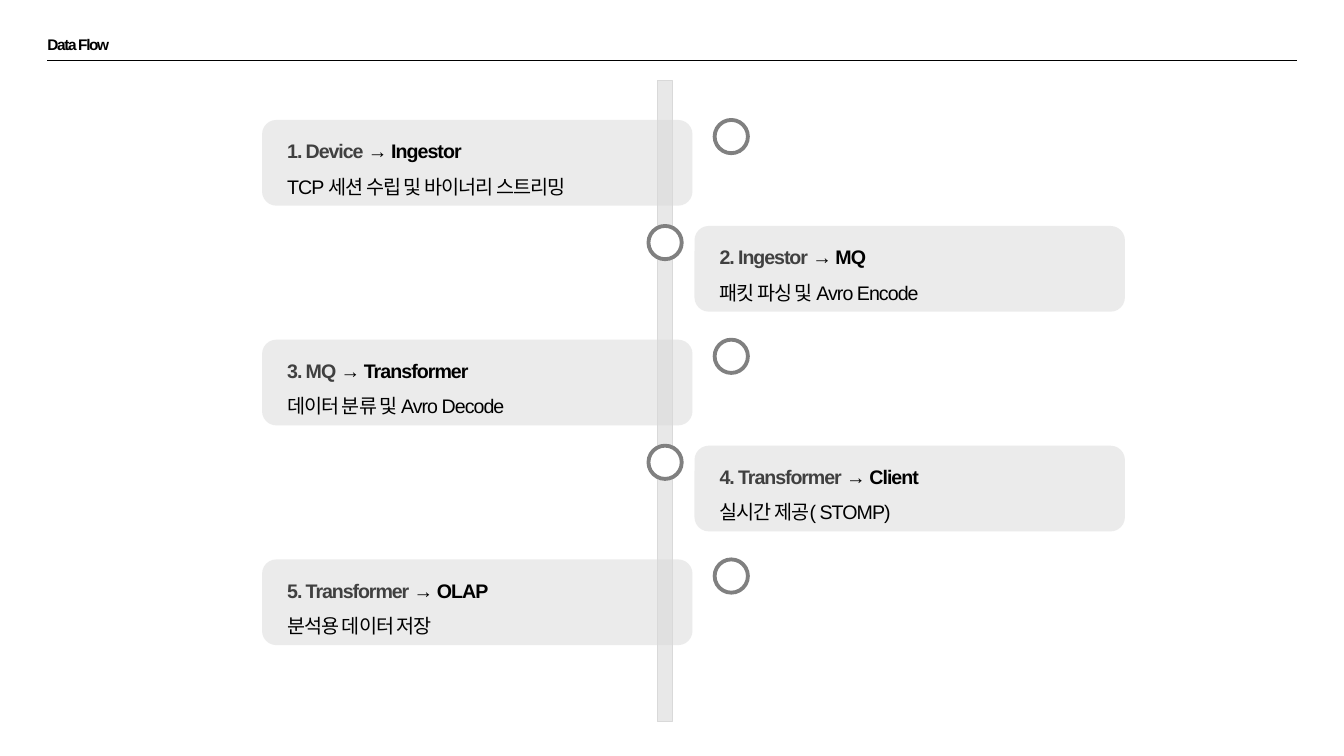
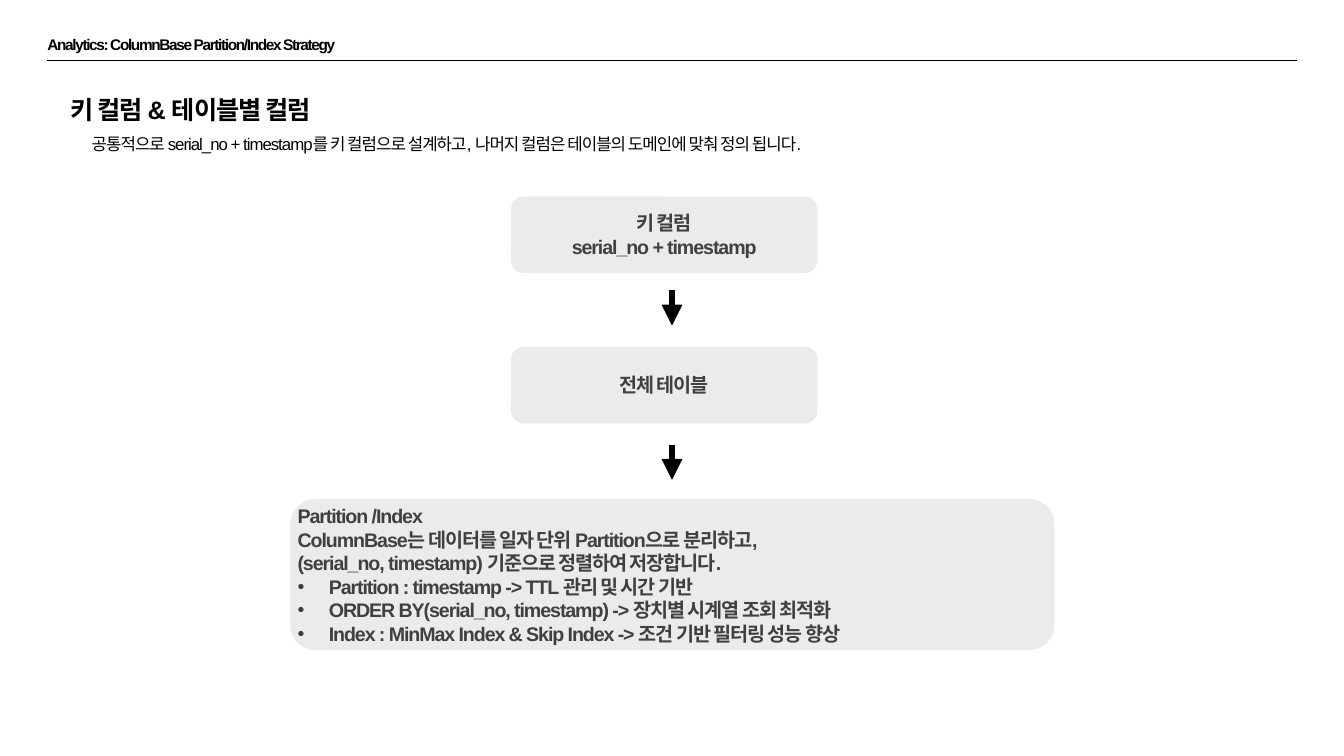
from dataclasses import dataclass

import pptx
import pptx.util
import pptx.dml.color
import pptx.enum.shapes
import pptx.enum.text
import pptx.oxml.ns
from lxml import etree

RGBColor = pptx.dml.color.RGBColor
Kind = pptx.enum.shapes.MSO_SHAPE
Link = pptx.enum.shapes.MSO_CONNECTOR
Align = pptx.enum.text.PP_ALIGN
Anchor = pptx.enum.text.MSO_ANCHOR
Fit = pptx.enum.text.MSO_AUTO_SIZE
Pt = pptx.util.Pt
qn = pptx.oxml.ns.qn

BLACK = RGBColor(0, 0, 0)
WHITE = RGBColor(255, 255, 255)
DARK = RGBColor(0x40, 0x40, 0x40)
GREY = RGBColor(0x80, 0x80, 0x80)
PALE = RGBColor(0xD9, 0xD9, 0xD9)

FACE = "Arial"
WIDTH = pptx.util.Inches(13.33)
HEIGHT = pptx.util.Inches(7.5)
COLS = 160
ROWS = 90


@dataclass(frozen=True)
class Box:
    x: float
    y: float
    w: float
    h: float

    def place(self) -> tuple[int, int, int, int]:
        return col(self.x), row(self.y), col(self.w), row(self.h)


@dataclass(frozen=True)
class Step:
    source: str
    target: str
    note: str


@dataclass(frozen=True)
class Side:
    card_x: float
    dot_x: float
    top: float


@dataclass(frozen=True)
class Line:
    text: str
    bullet: bool = False


STEPS = (
    Step("Device", "Ingestor", "TCP 세션 수립 및 바이너리 스트리밍"),
    Step("Ingestor", "MQ", "패킷 파싱 및 Avro Encode"),
    Step("MQ", "Transformer", "데이터 분류 및 Avro Decode"),
    Step("Transformer", "Client", "실시간 제공( STOMP)"),
    Step("Transformer", "OLAP", "분석용 데이터 저장"),
)
SIDES = (Side(31.2, 85.08, 14.28), Side(82.68, 77.2, 26.9))
PITCH = 26.16

BLOCKS = (
    (Box(60.84, 23.4, 36.48, 9.12), ("키 컬럼", "serial_no + timestamp")),
    (Box(60.84, 41.28, 36.48, 9.12), ("전체 테이블",)),
)
ARROWS = (34.56, 52.92)
PANEL = Box(34.56, 59.4, 90.96, 18)
LIST = Box(35.43, 59.4, 89.22, 18)
LINES = (
    Line("Partition /Index"),
    Line("ColumnBase는 데이터를 일자 단위 Partition으로 분리하고,"),
    Line("(serial_no, timestamp) 기준으로 정렬하여 저장합니다."),
    Line("Partition : timestamp -> TTL 관리 및 시간 기반", True),
    Line("ORDER BY(serial_no, timestamp) -> 장치별 시계열 조회 최적화", True),
    Line("Index : MinMax Index & Skip Index -> 조건 기반 필터링 성능 향상", True),
)


def col(count: float) -> int:
    return round(WIDTH * count / COLS)


def row(count: float) -> int:
    return round(HEIGHT * count / ROWS)


def setup(frame, anchor=Anchor.TOP) -> None:
    frame.margin_left = frame.margin_right = 0
    frame.margin_top = frame.margin_bottom = 0
    frame.word_wrap = True
    frame.auto_size = Fit.NONE
    frame.vertical_anchor = anchor


def add_run(para, text: str, space: float, color: RGBColor | None = None) -> None:
    run = para.add_run()
    run.text = text
    run._r.get_or_add_rPr().set("spc", str(round(space * 100)))
    if color is not None:
        run.font.color.rgb = color


def style(para, size: float, bold: bool, color: RGBColor | None = None) -> None:
    para.font.name = FACE
    para.font.size = Pt(size)
    para.font.bold = bold
    if color is not None:
        para.font.color.rgb = color


def get_para(frame, index: int):
    return frame.paragraphs[0] if index == 0 else frame.add_paragraph()


def add_shape(slide, kind, box: Box, fill: RGBColor, alpha: int = 100,
              edge: RGBColor | None = None, width: float = 0):
    shape = slide.shapes.add_shape(kind, *box.place())
    shape.shadow.inherit = False
    shape.fill.solid()
    shape.fill.fore_color.rgb = fill
    if alpha < 100:
        tint = shape._element.spPr.find(".//" + qn("a:srgbClr"))
        etree.SubElement(tint, qn("a:alpha")).set("val", str(alpha * 1000))
    if edge is None:
        shape.line.fill.background()
    else:
        shape.line.color.rgb = edge
        shape.line.width = Pt(width)
    return shape


def add_card(slide, box: Box):
    card = add_shape(slide, Kind.ROUNDED_RECTANGLE, box, PALE, 51)
    setup(card.text_frame, Anchor.MIDDLE)
    return card


def add_line(slide, x: float, y: float, to_x: float, to_y: float,
             width: float, arrow: bool = False) -> None:
    line = slide.shapes.add_connector(
        Link.STRAIGHT, col(x), row(y), col(to_x), row(to_y))
    line.line.color.rgb = BLACK
    line.line.width = Pt(width)
    props = line._element.spPr
    if arrow:
        etree.SubElement(props.find(qn("a:ln")), qn("a:tailEnd")).set("type", "triangle")
    etree.SubElement(props, qn("a:effectLst"))


def add_text(slide, box: Box, text: str, size: float, bold: bool) -> None:
    frame = slide.shapes.add_textbox(*box.place()).text_frame
    setup(frame)
    para = frame.paragraphs[0]
    style(para, size, bold, BLACK)
    add_run(para, text, -0.7)


def move(holder, box: Box) -> None:
    holder.left, holder.top, holder.width, holder.height = box.place()


def add_slide(deck, layout: int, title: str):
    slide = deck.slides.add_slide(deck.slide_layouts[layout])
    add_line(slide, 5.64, 7.2, 154.44, 7.2, 0.25)
    head = slide.shapes.title
    move(head, Box(5.64, 4.44, 48.6, 2.04))
    setup(head.text_frame)
    para = head.text_frame.paragraphs[0]
    para.alignment = Align.LEFT
    para.line_spacing = 0.9
    style(para, 11, True, BLACK)
    add_run(para, title, -1)
    return slide


def add_step(slide, index: int, step: Step) -> None:
    side = SIDES[index % 2]
    top = side.top + PITCH * (index // 2)
    frame = add_card(slide, Box(side.card_x, top, 51.24, 10.2)).text_frame
    frame.margin_left = col(2.5)
    head = frame.paragraphs[0]
    note = frame.add_paragraph()
    for para in (head, note):
        para.alignment = Align.LEFT
        para.line_spacing = 1.5
    style(head, 14, True)
    add_run(head, f"{index + 1}. {step.source} ", -0.8, DARK)
    add_run(head, f"→ {step.target}", -0.7, BLACK)
    style(note, 14, False, BLACK)
    add_run(note, step.note, -0.7)
    add_shape(slide, Kind.FLOWCHART_CONNECTOR, Box(side.dot_x, top, 3.96, 3.96),
              WHITE, edge=GREY, width=2.75)


def draw_flow(deck) -> None:
    slide = add_slide(deck, 5, "Data Flow")
    add_shape(slide, Kind.FLOWCHART_PROCESS, Box(78.24, 9.6, 1.8, 76.32),
              PALE, 60, PALE, 0.25)
    for index, step in enumerate(STEPS):
        add_step(slide, index, step)


def fill_list(holder) -> None:
    move(holder, LIST)
    frame = holder.text_frame
    setup(frame, Anchor.MIDDLE)
    for index, line in enumerate(LINES):
        para = get_para(frame, index)
        para.space_before = Pt(0)
        props = para._p.get_or_add_pPr()
        indent = col(3.72) if line.bullet else 0
        props.set("marL", str(indent))
        props.set("indent", str(-indent))
        if not line.bullet:
            etree.SubElement(props, qn("a:buNone"))
        style(para, 14, True, DARK)
        add_run(para, line.text, -0.8)


def draw_keys(deck) -> None:
    slide = add_slide(deck, 1, "Analytics: ColumnBase Partition/Index Strategy")
    add_text(slide, Box(8.4, 11.28, 33.36, 3.6), "키 컬럼 & 테이블별 컬럼", 18, True)
    add_text(slide, Box(10.92, 15.96, 93.36, 2.4),
             "공통적으로 serial_no + timestamp를 키 컬럼으로 설계하고, "
             "나머지 컬럼은 테이블의 도메인에 맞춰 정의 됩니다.", 12, False)
    for box, texts in BLOCKS:
        frame = add_card(slide, box).text_frame
        for index, text in enumerate(texts):
            para = get_para(frame, index)
            para.alignment = Align.CENTER
            style(para, 14, True, DARK)
            add_run(para, text, -0.8)
    for top in ARROWS:
        add_line(slide, 80, top, 80, top + 4.2, 5, True)
    panel = add_card(slide, PANEL)
    body = slide.placeholders[1]
    fill_list(body)
    panel._element.addnext(body._element)


def main() -> None:
    deck = pptx.Presentation()
    deck.slide_width = WIDTH
    deck.slide_height = HEIGHT
    draw_flow(deck)
    draw_keys(deck)
    deck.save("out.pptx")


if __name__ == "__main__":
    main()
